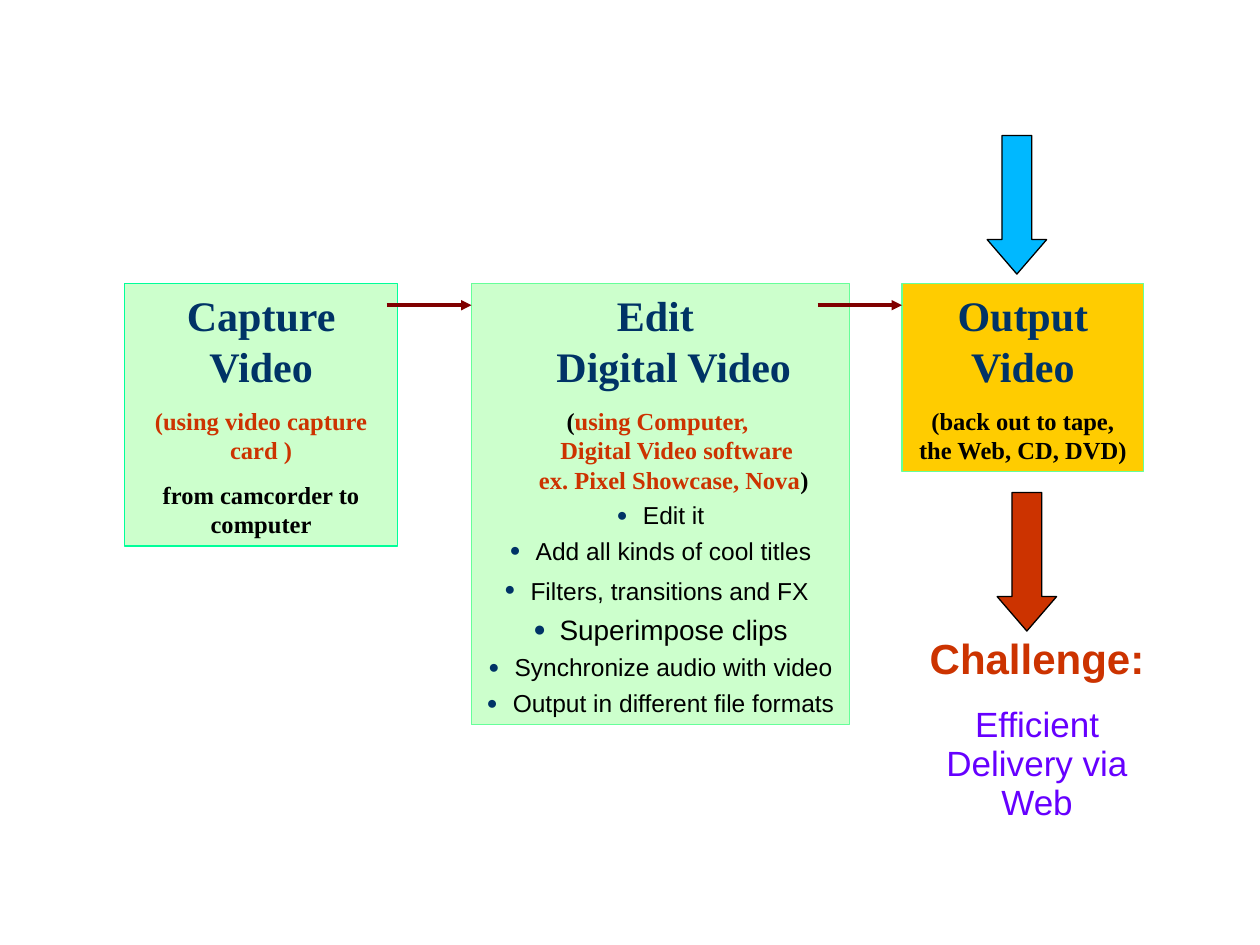
from lxml import etree
from pptx import Presentation
from pptx.dml.color import RGBColor
from pptx.enum.shapes import MSO_CONNECTOR, MSO_SHAPE
from pptx.enum.text import MSO_ANCHOR, MSO_AUTO_SIZE, PP_ALIGN
from pptx.oxml.ns import qn
from pptx.util import Pt

RECT, ARROW = MSO_SHAPE.RECTANGLE, MSO_SHAPE.LEFT_ARROW
LINE = MSO_CONNECTOR.STRAIGHT
TOP, GROW = MSO_ANCHOR.TOP, MSO_AUTO_SIZE.SHAPE_TO_FIT_TEXT
CENTER = PP_ALIGN.CENTER
SERIF, SANS = "Times New Roman", "Arial"
HEX = {
    "mint": "CCFFCC", "edge": "66FF99", "green": "00FF99", "gold": "FFCC00",
    "navy": "003366", "red": "CC3300", "black": "000000",
    "maroon": "800000", "blue": "00B8FF", "violet": "6600FF",
}
BOX_TOP = 162
LINK_Y = 174.4
INDENT = 15


def color(name):
    return RGBColor.from_string(HEX[name])


def add_shape(slide, kind, left, top, width, height, fill, edge):
    shape = slide.shapes.add_shape(kind, Pt(left), Pt(top), Pt(width), Pt(height))
    shape.shadow.inherit = False
    shape.fill.solid()
    shape.fill.fore_color.rgb = color(fill)
    shape.line.color.rgb = color(edge)
    shape.line.width = Pt(0.75)
    return shape


def set_frame(shape):
    frame = shape.text_frame
    frame.word_wrap = True
    frame.auto_size = GROW
    frame.vertical_anchor = TOP
    return frame


def add_para(frame, before, spacing=1.0, indent=0):
    first = frame.paragraphs[0]
    para = frame.add_paragraph() if first.runs else first
    para.alignment = CENTER
    para.space_before = Pt(before)
    para.line_spacing = spacing
    if indent:
        props = para._p.get_or_add_pPr()
        props.set("marL", str(Pt(indent)))
        props.set("indent", str(-Pt(indent)))
    return para


def add_run(para, text, size, tint, font=SERIF, bold=True):
    for i, part in enumerate(text.split("\n")):
        if i:
            para.add_line_break()
        run = para.add_run()
        run.text = part
        run.font.size = Pt(size)
        run.font.name = font
        run.font.bold = bold
        run.font.color.rgb = color(tint)


def add_bullet(para):
    props = para._p.get_or_add_pPr()
    tint = etree.SubElement(props, qn("a:buClr"))
    etree.SubElement(tint, qn("a:srgbClr"), val=HEX["navy"])
    etree.SubElement(props, qn("a:buSzPct"), val="75000")
    etree.SubElement(props, qn("a:buFont"), typeface=SANS)
    etree.SubElement(props, qn("a:buChar"), char="●")


def add_box(slide, left, width, height, fill, edge, title, indent=0):
    box = add_shape(slide, RECT, left, BOX_TOP, width, height, fill, edge)
    frame = set_frame(box)
    add_run(add_para(frame, 15, indent=indent), title, 24, "navy")
    return frame


def add_link(slide, start, end):
    link = slide.shapes.add_connector(LINE, Pt(start), Pt(LINK_Y), Pt(end), Pt(LINK_Y))
    link.line.color.rgb = color("maroon")
    link.line.width = Pt(2)
    etree.SubElement(link.line._get_or_add_ln(), qn("a:tailEnd"), type="triangle")
    etree.SubElement(link._element.spPr, qn("a:effectLst"))


def add_arrow(slide, left, top, fill):
    arrow = add_shape(slide, ARROW, left, top, 79.2, 34, fill, "black")
    arrow.rotation = 270
    arrow.adjustments[0] = 0.5
    arrow.adjustments[1] = 0.58


def main():
    deck = Presentation()
    deck.slide_width, deck.slide_height = Pt(720), Pt(540)
    slide = deck.slides.add_slide(deck.slide_layouts[6])

    # Capture step
    frame = add_box(slide, 71.2, 156, 150, "mint", "green", "Capture Video")
    add_run(add_para(frame, 8.8), "(using video capture card )", 14, "red")
    add_run(add_para(frame, 8.8), "from camcorder to computer", 14, "black")

    # Edit step
    frame = add_box(slide, 269.5, 216, 252, "mint", "edge",
                    "Edit \nDigital Video", INDENT)
    para = add_para(frame, 8.8, indent=INDENT)
    add_run(para, "(", 14, "black")
    add_run(para, "using Computer, \n Digital Video software\n"
                  "ex. Pixel Showcase, Nova", 14, "red")
    add_run(para, ")", 14, "black")
    tasks = [
        ("Edit it", 14, 3.5),
        ("Add all kinds of cool titles", 14, 3.5),
        ("Filters, transitions and FX", 14, 4),
        ("Superimpose clips", 16, 4),
        ("Synchronize audio with video", 14, 3.5),
        ("Output in different file formats", 14, 3.5),
    ]
    for text, size, before in tasks:
        para = add_para(frame, before, indent=INDENT)
        add_bullet(para)
        add_run(para, text, size, "black", SANS, False)
        if text.endswith("FX"):
            add_run(para, " ", 16, "black", SANS, False)

    # Output step
    frame = add_box(slide, 515.5, 138, 107.3, "gold", "edge", "Output Video")
    add_run(add_para(frame, 8.8), "(back out to tape, the Web, CD, DVD)", 14, "black")

    # Links between the steps
    add_link(slide, 221, 269.5)
    add_link(slide, 467.2, 515.5)

    # Arrows into and out of the output step
    add_arrow(slide, 541.5, 100, "blue")
    add_arrow(slide, 547.2, 304, "red")

    # Challenge note
    note = slide.shapes.add_textbox(Pt(513.4), Pt(360.7), Pt(158.4), Pt(113.8))
    frame = set_frame(note)
    add_run(add_para(frame, 15, 0.93), "Challenge:", 24, "red", SANS)
    add_run(add_para(frame, 12.5, 0.93), "Efficient Delivery via Web",
            20, "violet", SANS, False)

    deck.save("out.pptx")


if __name__ == "__main__":
    main()
